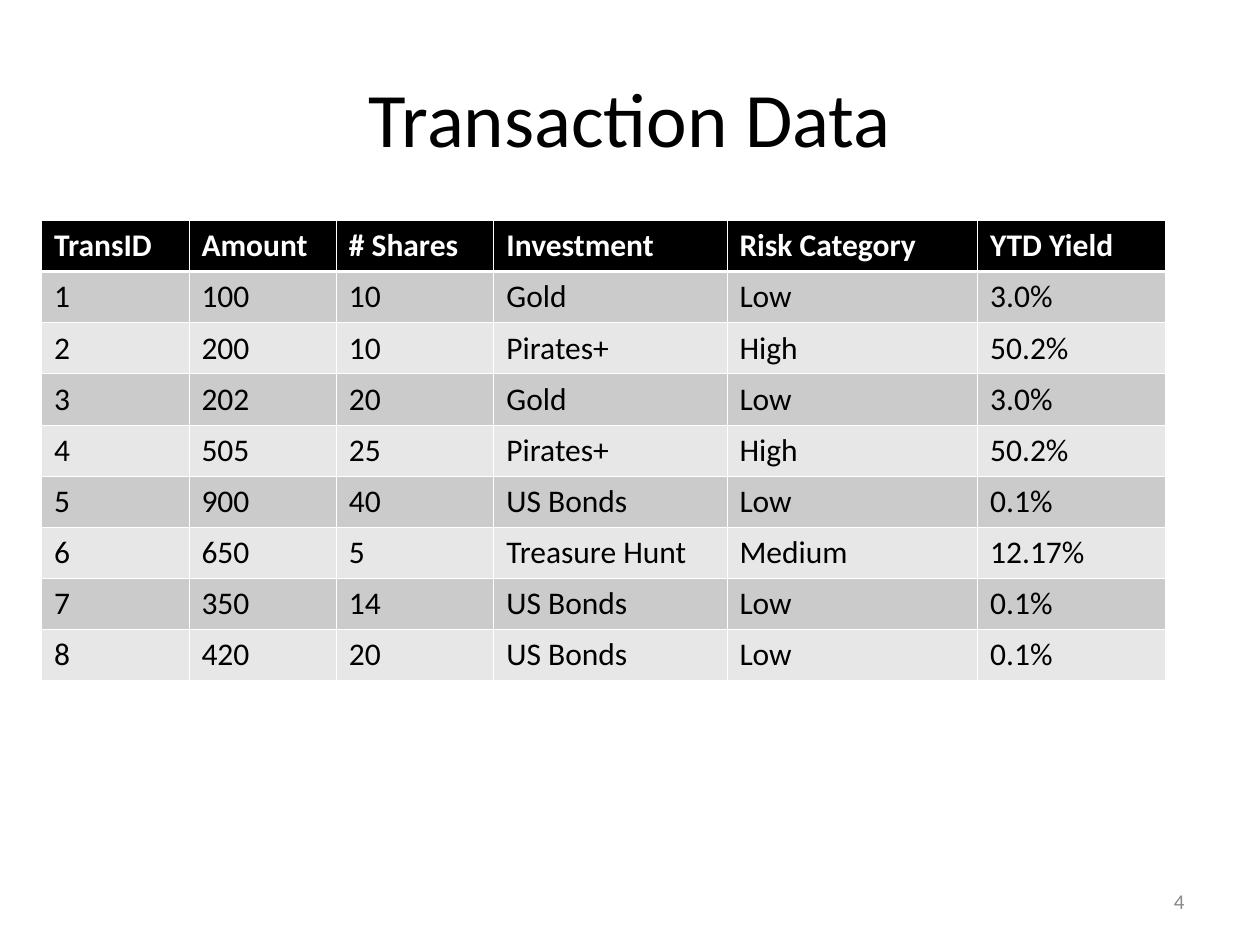
import dataclasses
import pptx
import pptx.util
import pptx.dml.color
import pptx.enum.text
import pptx.oxml
import pptx.oxml.ns

Inches = pptx.util.Inches
Align = pptx.enum.text.PP_ALIGN
Anchor = pptx.enum.text.MSO_ANCHOR


@dataclasses.dataclass(frozen=True)
class Theme:
    font: str = "Calibri"
    ink: str = "000000"
    paper: str = "FFFFFF"
    dark: str = "CBCBCB"
    light: str = "E7E7E7"
    muted: str = "898989"
    head: int = 44
    body: int = 18
    foot: int = 12
    thin: float = 0.45
    thick: float = 1.47


THEME = Theme()
WIDTH, HEIGHT = Inches(10), Inches(7.5)
COLS = [1.17, 1.17, 1.25, 1.85, 1.99, 1.49]
DEPTH = 3.65
ROWS = [
    ["TransID", "Amount", "# Shares", "Investment", "Risk Category", "YTD Yield"],
    ["1", "100", "10", "Gold", "Low", "3.0%"],
    ["2", "200", "10", "Pirates+", "High", "50.2%"],
    ["3", "202", "20", "Gold", "Low", "3.0%"],
    ["4", "505", "25", "Pirates+", "High", "50.2%"],
    ["5", "900", "40", "US Bonds", "Low", "0.1%"],
    ["6", "650", "5", "Treasure Hunt", "Medium", "12.17%"],
    ["7", "350", "14", "US Bonds", "Low", "0.1%"],
    ["8", "420", "20", "US Bonds", "Low", "0.1%"],
]


def rgb(code):
    return pptx.dml.color.RGBColor.from_string(code)


def write(frame, text, size=THEME.body, color=THEME.ink, bold=False,
          align=Align.LEFT, anchor=Anchor.TOP):
    frame.word_wrap = True
    frame.vertical_anchor = anchor
    para = frame.paragraphs[0]
    para.alignment = align
    run = para.add_run()
    run.text = text
    run.font.name = THEME.font
    run.font.size = pptx.util.Pt(size)
    run.font.bold = bold
    run.font.color.rgb = rgb(color)


def add_title(slide, text):
    title = slide.shapes.title
    title.left, title.top = int(WIDTH * 0.05), int(HEIGHT * 0.04)
    title.width, title.height = int(WIDTH * 0.9), Inches(1.25)
    write(title.text_frame, text, size=THEME.head,
          align=Align.CENTER, anchor=Anchor.MIDDLE)


def add_edges(cell, top, bottom):
    props = cell._tc.get_or_add_tcPr()
    sides = {"lnL": THEME.thin, "lnR": THEME.thin, "lnT": top, "lnB": bottom}
    for spot, (tag, width) in enumerate(sides.items()):
        props.insert(spot, pptx.oxml.parse_xml(
            f'<a:{tag} {pptx.oxml.ns.nsdecls("a")} w="{pptx.util.Pt(width)}">'
            f'<a:solidFill><a:srgbClr val="{THEME.paper}"/></a:solidFill>'
            f'</a:{tag}>'))


def fill_cell(cell, text, row):
    header = row == 0
    shade = THEME.ink if header else (THEME.light, THEME.dark)[row % 2]
    cell.fill.solid()
    cell.fill.fore_color.rgb = rgb(shade)
    write(cell.text_frame, text, bold=header,
          color=THEME.paper if header else THEME.ink)
    add_edges(cell, THEME.thick if row == 1 else THEME.thin,
              THEME.thick if header else THEME.thin)


def add_grid(slide):
    table = slide.shapes.add_table(
        len(ROWS), len(COLS), Inches(0.33), Inches(1.75),
        Inches(sum(COLS)), Inches(DEPTH)).table
    for column, width in zip(table.columns, COLS):
        column.width = Inches(width)
    for row, texts in enumerate(ROWS):
        table.rows[row].height = Inches(DEPTH / len(ROWS))
        for col, text in enumerate(texts):
            fill_cell(table.cell(row, col), text, row)


def add_number(slide, text):
    box = slide.shapes.add_textbox(
        Inches(7.17), Inches(6.95), Inches(2.33), Inches(0.4))
    write(box.text_frame, text, size=THEME.foot, color=THEME.muted,
          align=Align.RIGHT, anchor=Anchor.MIDDLE)


def main():
    deck = pptx.Presentation()
    deck.slide_width, deck.slide_height = WIDTH, HEIGHT
    slide = deck.slides.add_slide(deck.slide_layouts[5])
    add_title(slide, "Transaction Data")
    add_grid(slide)
    add_number(slide, "4")
    deck.save("out.pptx")


if __name__ == "__main__":
    main()
